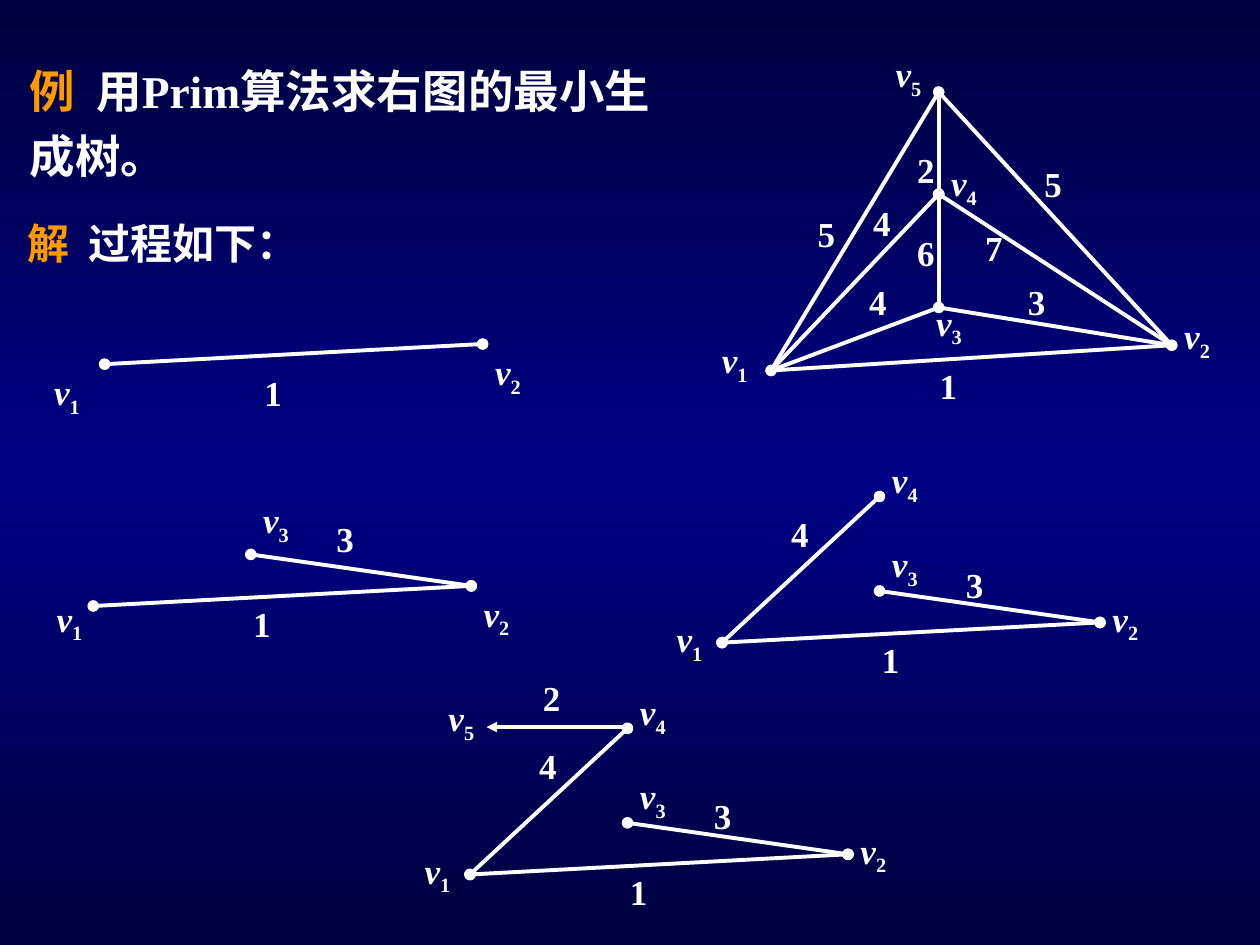
from copy import deepcopy

from lxml.etree import SubElement
from pptx import Presentation
from pptx.dml.color import RGBColor
from pptx.enum.shapes import MSO_CONNECTOR
from pptx.enum.text import MSO_AUTO_SIZE
from pptx.oxml.ns import qn
from pptx.util import Pt

WHITE = RGBColor(0xFF, 0xFF, 0xFF)
ORANGE = RGBColor(0xFF, 0x99, 0x00)
NAVY = RGBColor(0x00, 0x00, 0x3E)
BLUE = RGBColor(0x00, 0x00, 0x86)


def add_text(shapes, left, top, width, height, runs, size):
    """Add a one-paragraph text box; runs are (text, dict of font values) pairs."""
    box = shapes.add_textbox(Pt(left), Pt(top), Pt(width), Pt(height))
    box.text_frame.word_wrap = True
    box.text_frame.auto_size = MSO_AUTO_SIZE.SHAPE_TO_FIT_TEXT
    paragraph = box.text_frame.paragraphs[0]
    for text, values in runs:
        run = paragraph.add_run()
        run.text = text
        run.font.color.rgb = values.get("color", WHITE)
        font_values = {"name": "Times New Roman", "size": Pt(size), "bold": True,
                       "italic": values.get("italic", False)}
        for name, value in font_values.items():
            setattr(run.font, name, value)
        if "baseline" in values:
            run.font._element.set("baseline", values["baseline"])
    return paragraph


def add_edge(shapes, start, end, width, head, tail):
    edge = shapes.add_connector(MSO_CONNECTOR.STRAIGHT, *(Pt(v) for v in (*start, *end)))
    edge.line.color.rgb = WHITE
    edge.line.width = Pt(width)
    line = edge.line._get_or_add_ln()
    for tag, kind in (("a:headEnd", head), ("a:tailEnd", tail)):
        if kind:
            SubElement(line, qn(tag), type=kind)
    SubElement(edge._element.spPr, qn("a:effectLst"))


presentation = Presentation()
presentation.slide_width, presentation.slide_height = Pt(720), Pt(540)
slide = presentation.slides.add_slide(presentation.slide_layouts[6])

# Background: dark at top and bottom, brighter in the middle
fill = slide.background.fill
fill.gradient()
fill.gradient_angle = 90
first_stop = fill.gradient_stops[0]._gs
first_stop.addnext(deepcopy(first_stop))
for stop, position, color in zip(fill.gradient_stops, (0, 0.5, 1), (NAVY, BLUE, NAVY)):
    stop.position = position
    stop.color.rgb = color

# Problem and solution headings
problem = add_text(slide.shapes, 10, 26, 373, 82,
                   [("例", {"color": ORANGE}), ("  用Prim算法求右图的最小生成树。", {})], 26)
problem.line_spacing = 1.2
solution = add_text(slide.shapes, 8.6, 121, 245.5, 36,
                    [("解 ", {"color": ORANGE}), (" 过程如下：", {})], 24)
solution.space_before = Pt(15)

# Edges are (from, to, dotted ends); labels and weights give the corner of their text box
full_graph = {
    "origin": (0, 0),
    "vertices": {1: (440.6, 211.7), 2: (669.6, 197.3), 3: (536.4, 175.7),
                 4: (536.4, 110.9), 5: (536.4, 52.6)},
    "edges": [(5, 1, False), (1, 2, True), (5, 2, False), (5, 4, True), (4, 3, True),
              (3, 1, False), (4, 1, False), (3, 2, False), (4, 2, False)],
    "labels": {1: (405.4, 190.1), 2: (669.6, 176.4), 3: (527.8, 168.5),
               4: (536.4, 88.6), 5: (504.7, 26.6)},
    "weights": [("5", 589.7, 89.3), ("5", 460.1, 118.1), ("4", 491.8, 111.6),
                ("4", 489.6, 157), ("3", 580.3, 157), ("2", 517, 81.4),
                ("1", 529.9, 204.5), ("7", 555.8, 126), ("6", 517, 128.9)],
}

# The growing tree, measured from v1; every stage adds one edge
tree_vertices = {1: (0, 0), 2: (216, -11.5), 3: (90, -29.5), 4: (90, -83.5)}
tree_edges = [(1, 2, True), (3, 2, True), (4, 1, True)]
tree_weights = [("1", 84.2, -5.8), ("3", 132.2, -49), ("4", 32.4, -77.8)]
late_labels = {1: (-33.1, -18), 2: (216, -29.5), 3: (90, -60.5), 4: (90, -108.7)}
stages = [
    ((59.8, 208.1), 1, {1: (-36, 0), 2: (216, -11.5)}, [("1", 84.2, 0.7)]),
    ((53.3, 346.3), 2, {1: (-28.1, -8.6), 2: (216, -11.5), 3: (90, -64.8)},
     [tree_weights[0], ("3", 131.8, -54)]),
    ((412.6, 367.2), 3, late_labels, tree_weights),
    ((268.6, 499.7), 3, {**late_labels, 5: (-19.4, -105.1)},
     [*tree_weights, ("2", 34.6, -116.6)]),
]
graphs = [full_graph] + [
    {"origin": origin, "vertices": tree_vertices, "edges": tree_edges[:count],
     "labels": labels, "weights": weights}
    for origin, count, labels, weights in stages
]

for graph in graphs:
    x, y = graph["origin"]
    group = slide.shapes.add_group_shape()
    points = {n: (x + dx, y + dy) for n, (dx, dy) in graph["vertices"].items()}
    for start, end, dotted in graph["edges"]:
        dot = "oval" if dotted else None
        add_edge(group.shapes, points[start], points[end], 2.25, dot, dot)
    for weight, dx, dy in graph["weights"]:
        add_text(group.shapes, x + dx, y + dy, 26, 31.5, [(weight, {})], 20)
    for number, (dx, dy) in graph["labels"].items():
        add_text(group.shapes, x + dx, y + dy, 38, 34.5,
                 [("v", {"italic": True}), (str(number), {"baseline": "-25000"})], 20)

# The last stage reaches v5 with an arrow
add_edge(group.shapes, (x + 89.3, y - 84.2), (x + 9.4, y - 84.2), 2, None, "triangle")

presentation.save("out.pptx")
